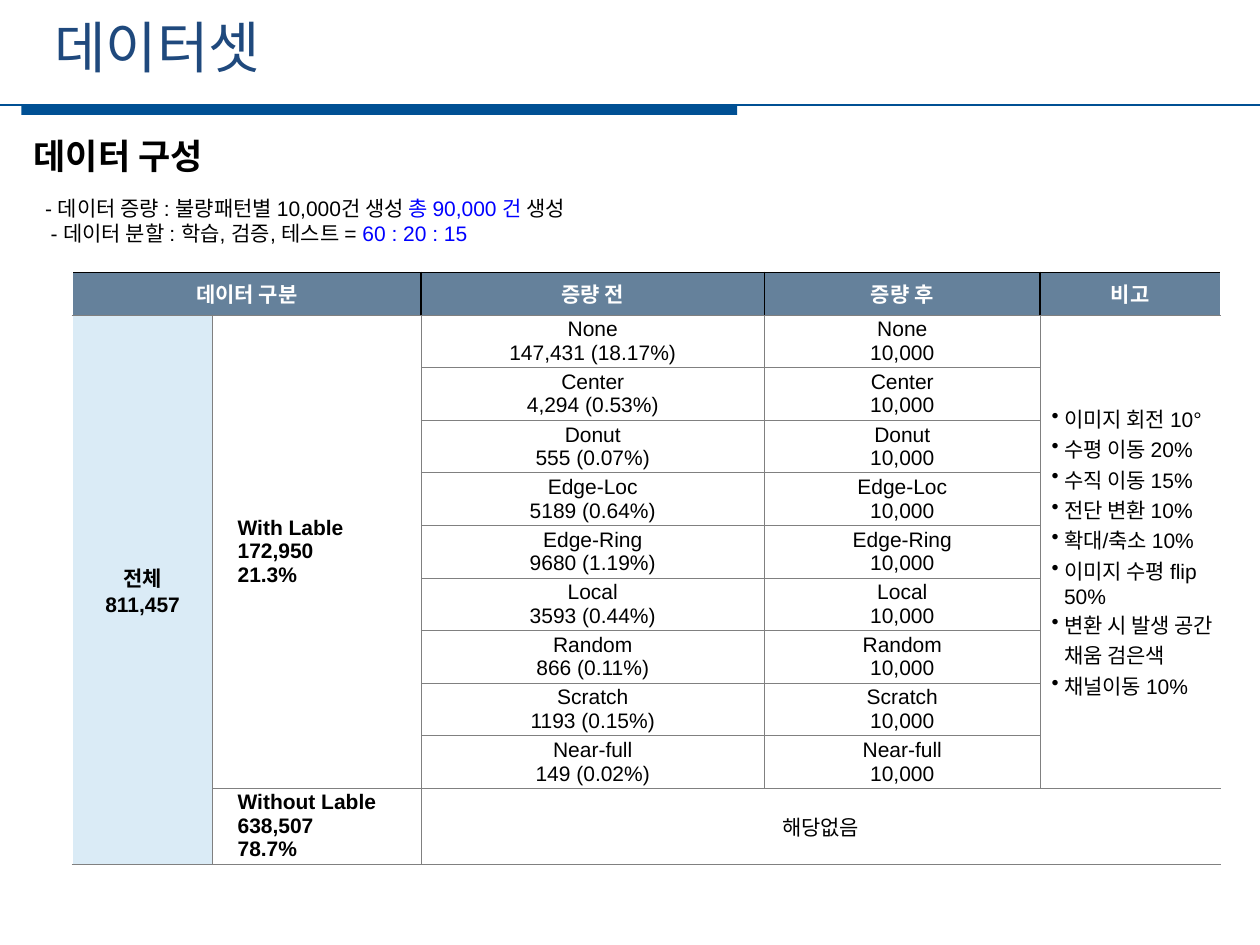
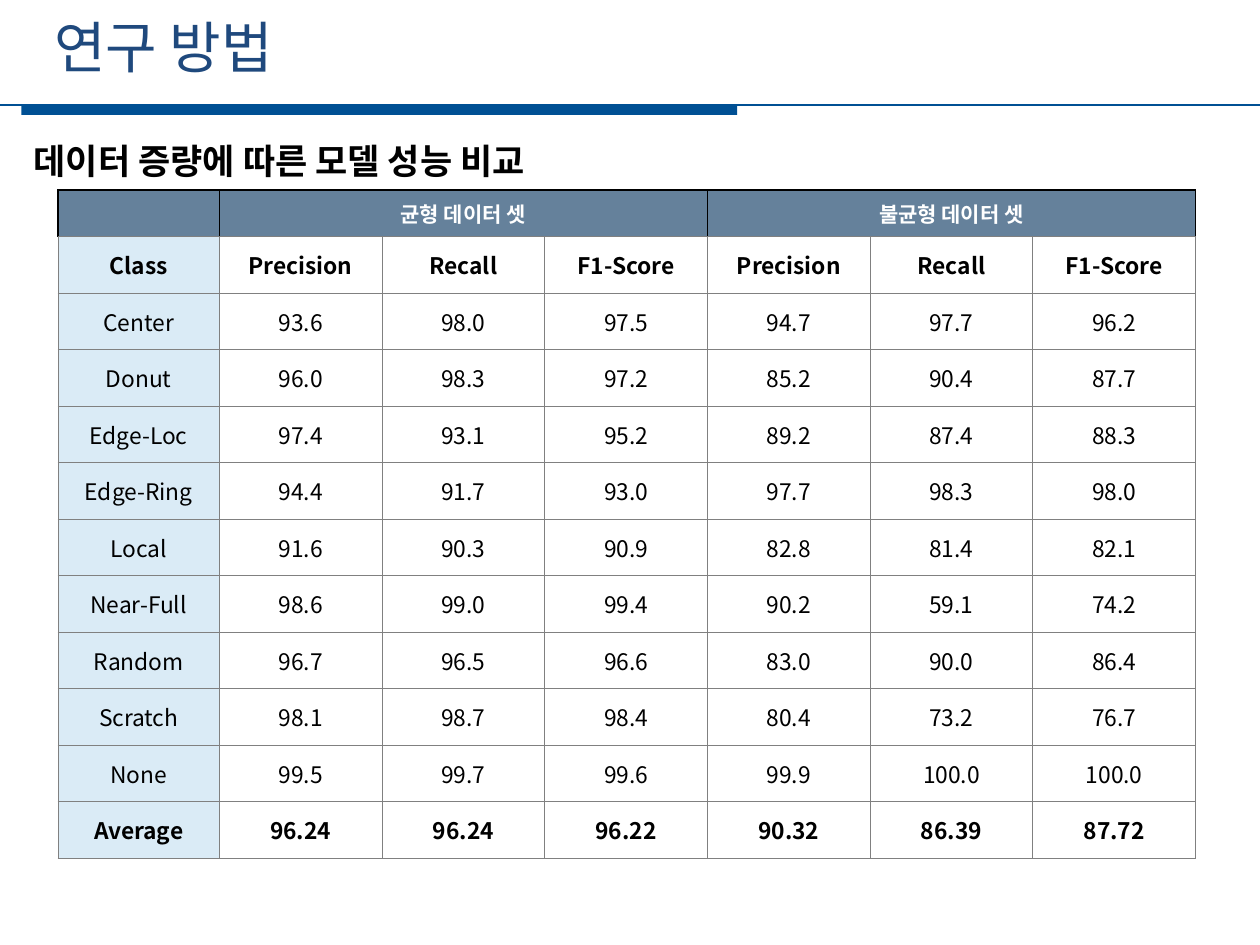
"""Builds two slides on a data set and on model performance, each with a table."""
from dataclasses import dataclass

from lxml import etree
from pptx import Presentation
from pptx.dml.color import RGBColor
from pptx.enum.shapes import MSO_CONNECTOR, MSO_SHAPE
from pptx.enum.text import MSO_ANCHOR, PP_ALIGN
from pptx.oxml.ns import qn
from pptx.util import Cm, Pt

RECTANGLE = MSO_SHAPE.RECTANGLE
STRAIGHT = MSO_CONNECTOR.STRAIGHT
MIDDLE = MSO_ANCHOR.MIDDLE
LEFT, CENTER = PP_ALIGN.LEFT, PP_ALIGN.CENTER


@dataclass(frozen=True)
class Theme:
    band: str = "005094"
    title: str = "1F497D"
    header: str = "65819B"
    pale: str = "DAEBF6"
    grid: str = "808080"
    accent: str = "0000FF"
    black: str = "000000"
    white: str = "FFFFFF"
    latin: str = "Arial"
    korean: str = "Noto Sans CJK KR"
    title_size: int = 32
    heading_size: int = 20
    text_size: int = 12
    score_size: int = 13


THEME = Theme()


def write(paragraph, text, *, font=THEME.latin, size=THEME.text_size, color=THEME.black,
          bold=False, align=LEFT, indent=0, hanging=0, bullet=None, leading=None, before=0):
    properties = paragraph._p.get_or_add_pPr()
    properties.set("marL", str(Cm(indent)))
    properties.set("indent", str(-Cm(hanging)))
    if bullet:
        etree.SubElement(properties, qn("a:buChar")).set("char", bullet)
    paragraph.alignment = align
    if leading:
        paragraph.line_spacing = Pt(leading)
    if before:
        paragraph.space_before = Pt(before)
    run = paragraph.add_run()
    run.text = text
    run.font.size = Pt(size)
    run.font.bold = bold
    run.font.color.rgb = RGBColor.from_string(color)
    run.font.name = font
    etree.SubElement(run._r.rPr, qn("a:ea")).set("typeface", THEME.korean)


def draw_edge(cell, side, color, width):
    edge = etree.SubElement(cell._tc.get_or_add_tcPr(), qn(f"a:ln{side}"), w=str(Pt(width)))
    fill = etree.SubElement(edge, qn("a:solidFill"))
    etree.SubElement(fill, qn("a:srgbClr"), val=color)


patterns = [
    ("None", "147,431 (18.17%)"),
    ("Center", "4,294 (0.53%)"),
    ("Donut", "555 (0.07%)"),
    ("Edge-Loc", "5189 (0.64%)"),
    ("Edge-Ring", "9680 (1.19%)"),
    ("Local", "3593 (0.44%)"),
    ("Random", "866 (0.11%)"),
    ("Scratch", "1193 (0.15%)"),
    ("Near-full", "149 (0.02%)"),
]
augmentations = [
    "이미지 회전 10°", "수평 이동 20%", "수직 이동 15%", "전단 변환 10%", "확대/축소 10%",
    "이미지 수평 flip 50%", "변환 시 발생 공간 채움 검은색", "채널이동 10%",
]
composition = [["데이터 구분", "", "증량 전", "증량 후", "비고"]]
composition += [["", "", f"{name}\n{count}", f"{name}\n10,000", ""] for name, count in patterns]
composition += [["", "Without Lable\n638,507\n78.7%", "해당없음", "", ""]]
composition[1][0] = "전체\n811,457"
composition[1][1] = "With Lable\n172,950\n21.3%"
composition[1][4] = "\n".join(augmentations)

performance = [
    ["", "균형 데이터 셋", "", "", "불균형 데이터 셋", "", ""],
    ["Class"] + ["Precision", "Recall", "F1-Score"] * 2,
    ["Center", "93.6", "98.0", "97.5", "94.7", "97.7", "96.2"],
    ["Donut", "96.0", "98.3", "97.2", "85.2", "90.4", "87.7"],
    ["Edge-Loc", "97.4", "93.1", "95.2", "89.2", "87.4", "88.3"],
    ["Edge-Ring", "94.4", "91.7", "93.0", "97.7", "98.3", "98.0"],
    ["Local", "91.6", "90.3", "90.9", "82.8", "81.4", "82.1"],
    ["Near-Full", "98.6", "99.0", "99.4", "90.2", "59.1", "74.2"],
    ["Random", "96.7", "96.5", "96.6", "83.0", "90.0", "86.4"],
    ["Scratch", "98.1", "98.7", "98.4", "80.4", "73.2", "76.7"],
    ["None", "99.5", "99.7", "99.6", "99.9", "100.0", "100.0"],
    ["Average", "96.24", "96.24", "96.22", "90.32", "86.39", "87.72"],
]

pages = [
    {
        "title": "데이터셋",
        "heading": "데이터 구성",
        "heading_top": 2.62,
        "notes": [
            (0.23, 11, [("- 데이터 증량 : 불량패턴별 10,000건 생성 ", THEME.black),
                        ("총 90,000 건 ", THEME.accent), ("생성", THEME.black)]),
            (0.34, 0, [("- 데이터 분할 : 학습, 검증, 테스트 = ", THEME.black),
                       ("60 : 20 : 15", THEME.accent)]),
        ],
        "cells": composition,
        "origin": (1.46, 5.49),
        "widths": [2.83, 4.2, 6.92, 5.56, 3.63],
        "heights": [0.86] + [1.06] * 9 + [1.52],
        "merges": [(0, 0, 0, 1), (1, 0, 10, 0), (1, 1, 9, 1), (1, 4, 9, 4), (10, 2, 10, 4)],
        "body": {"font": THEME.latin, "size": THEME.text_size},
        "bold_rows": [0],
        "bold_columns": [0, 1],
        "column_formats": {
            1: {"align": LEFT, "indent": 0.5},
            4: {"align": LEFT, "indent": 0.48, "hanging": 0.25, "bullet": "•"},
        },
        "open_sides": True,
    },
    {
        "title": "연구 방법",
        "heading": "데이터 증량에 따른 모델 성능 비교",
        "heading_top": 2.72,
        "notes": [],
        "cells": performance,
        "origin": (1.17, 3.83),
        "widths": [3.25] + [3.28] * 6,
        "heights": [0.94] + [1.14] * 11,
        "merges": [(0, 1, 0, 3), (0, 4, 0, 6)],
        "body": {"font": THEME.korean, "size": THEME.score_size},
        "bold_rows": [0, 1, 11],
        "bold_columns": [],
        "column_formats": {},
        "open_sides": False,
    },
]

deck = Presentation()
deck.slide_width, deck.slide_height = Cm(25.4), Cm(19.05)

for page in pages:
    slide = deck.slides.add_slide(deck.slide_layouts[6])

    band = slide.shapes.add_shape(RECTANGLE, Cm(0.43), Cm(2.12), Cm(14.43), Cm(0.2))
    band.shadow.inherit = False
    band.fill.solid()
    band.fill.fore_color.rgb = RGBColor.from_string(THEME.band)
    band.line.fill.background()
    rule = slide.shapes.add_connector(STRAIGHT, 0, Cm(2.12), deck.slide_width, Cm(2.12))
    rule.line.color.rgb = RGBColor.from_string(THEME.band)
    rule.line.width = Pt(1.25)
    etree.SubElement(rule._element.spPr, qn("a:effectLst"))

    title = slide.shapes.add_textbox(Cm(0.84), Cm(0.25), Cm(22.76), Cm(1.63)).text_frame
    title.word_wrap = True
    title.margin_top = title.margin_bottom = 0
    write(title.paragraphs[0], page["title"], font=THEME.korean, size=THEME.title_size,
          color=THEME.title)

    intro = slide.shapes.add_textbox(
        Cm(0.43), Cm(page["heading_top"]), Cm(24.18), Cm(2.8 if page["notes"] else 1.1)).text_frame
    intro.word_wrap = True
    write(intro.paragraphs[0], page["heading"], size=THEME.heading_size, bold=True, leading=23)
    for indent, before, pieces in page["notes"]:
        note = intro.add_paragraph()
        for text, color in pieces:
            write(note, text, color=color, indent=indent, leading=14.4, before=before)

    widths, heights = page["widths"], page["heights"]
    left, top = page["origin"]
    table = slide.shapes.add_table(len(heights), len(widths), Cm(left), Cm(top),
                                   Cm(sum(widths)), Cm(sum(heights))).table
    table.first_row = table.horz_banding = False
    for column, width in zip(table.columns, widths):
        column.width = Cm(width)
    for row, height in zip(table.rows, heights):
        row.height = Cm(height)
    for first_row, first_column, last_row, last_column in page["merges"]:
        table.cell(first_row, first_column).merge(table.cell(last_row, last_column))

    for r, texts in enumerate(page["cells"]):
        for c, text in enumerate(texts):
            cell = table.cell(r, c)
            is_header = r == 0
            cell.margin_left = cell.margin_right = cell.margin_top = cell.margin_bottom = 0
            cell.vertical_anchor = MIDDLE

            inner = (THEME.black, 1) if is_header else (THEME.grid, 0.5)
            outer = (THEME.white, 1) if page["open_sides"] else inner
            reach = c + (cell.span_width if cell.is_merge_origin else 1)
            draw_edge(cell, "L", *(outer if c == 0 else inner))
            draw_edge(cell, "R", *(outer if reach == len(widths) else inner))
            draw_edge(cell, "T", *inner)
            draw_edge(cell, "B", THEME.grid, 0.5)

            if is_header or c == 0:
                cell.fill.solid()
                cell.fill.fore_color.rgb = RGBColor.from_string(
                    THEME.header if is_header else THEME.pale)
            else:
                cell.fill.background()

            if not text:
                continue
            style = {"align": CENTER, "bold": r in page["bold_rows"] or c in page["bold_columns"]}
            if is_header:
                style["color"] = THEME.white
            else:
                style |= page["body"] | page["column_formats"].get(c, {})
            for n, line in enumerate(text.split("\n")):
                frame = cell.text_frame
                write(frame.add_paragraph() if n else frame.paragraphs[0], line, **style)

deck.save("out.pptx")
